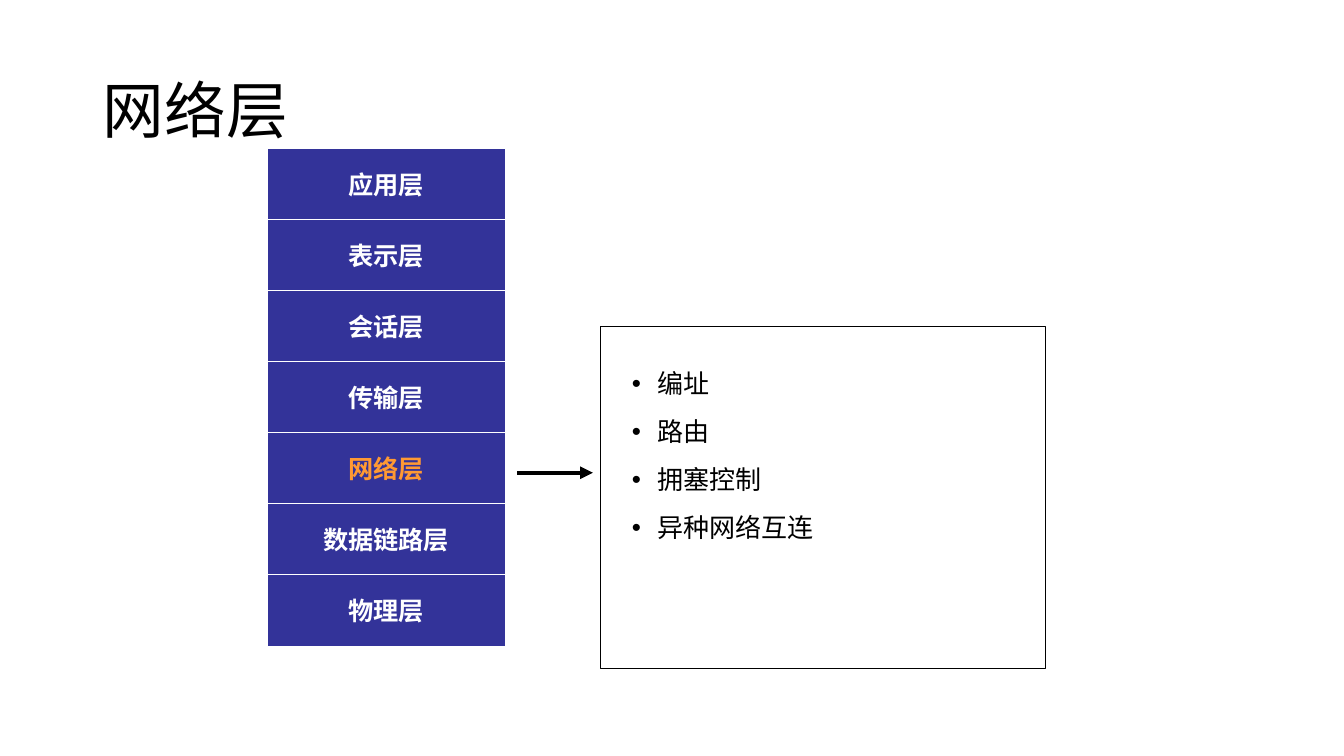
from lxml import etree
from pptx import Presentation
from pptx.dml.color import RGBColor
from pptx.enum.shapes import MSO_CONNECTOR, MSO_SHAPE
from pptx.enum.text import MSO_ANCHOR, PP_ALIGN
from pptx.oxml.ns import qn
from pptx.util import Inches, Pt

TITLE = "网络层"
LAYERS = ["应用层", "表示层", "会话层", "传输层", "网络层", "数据链路层", "物理层"]
TASKS = ["编址", "路由", "拥塞控制", "异种网络互连"]

FONT = "Noto Sans CJK SC"
BLACK = RGBColor(0x00, 0x00, 0x00)
WHITE = RGBColor(0xFF, 0xFF, 0xFF)
BLUE = RGBColor(0x33, 0x33, 0x99)
ORANGE = RGBColor(0xFF, 0x99, 0x33)
RECT = MSO_SHAPE.RECTANGLE
STRAIGHT = MSO_CONNECTOR.STRAIGHT
MIDDLE = MSO_ANCHOR.MIDDLE
LEFT, CENTER = PP_ALIGN.LEFT, PP_ALIGN.CENTER

STACK_X, STACK_Y, STACK_W = 2.65, 1.47, 2.36
BAR_H, PITCH = 0.71, 0.705


def box(*args):
    return [Inches(n) for n in args]


def style(para, size, color, bold=False):
    """Format the runs, with the same font for Latin and East Asian text."""
    for run in para.runs:
        font = run.font
        font.name, font.size, font.bold = FONT, Pt(size), bold
        font.color.rgb = color
        ea = etree.Element(qn("a:ea"), typeface=FONT)
        font._element.find(qn("a:latin")).addnext(ea)


def add_rect(slide, place, line):
    rect = slide.shapes.add_shape(RECT, *box(*place))
    rect.shadow.inherit = False
    rect.line.color.rgb = line
    rect.line.width = Pt(0.75)
    return rect


def add_title(slide):
    title = slide.shapes.title
    title.left, title.top, title.width, title.height = box(0.92, 0.4, 11.5, 1.45)
    frame = title.text_frame
    frame.text = TITLE
    frame.vertical_anchor = MIDDLE
    para = frame.paragraphs[0]
    para.alignment = LEFT
    para.line_spacing = 0.9
    style(para, 44, BLACK)


def add_stack(slide):
    for i, name in enumerate(LAYERS):
        bar = add_rect(slide, (STACK_X, STACK_Y + i * PITCH, STACK_W, BAR_H), WHITE)
        bar.fill.solid()
        bar.fill.fore_color.rgb = BLUE
        frame = bar.text_frame
        frame.text = name
        frame.word_wrap = False
        frame.vertical_anchor = MIDDLE
        para = frame.paragraphs[0]
        para.alignment = CENTER
        style(para, 18, ORANGE if name == TITLE else WHITE, True)


def add_arrow(slide):
    arrow = slide.shapes.add_connector(STRAIGHT, *box(5.13, 4.69, 5.88, 4.69))
    arrow.line.color.rgb = BLACK
    arrow.line.width = Pt(3)
    etree.SubElement(arrow.line._get_or_add_ln(), qn("a:tailEnd"), type="triangle")
    etree.SubElement(arrow._element.spPr, qn("a:effectLst"))


def add_tasks(slide):
    frame = slide.shapes.add_textbox(*box(6.17, 3.6, 3.7, 2.14)).text_frame
    frame.word_wrap = True
    frame.text = "\n".join(TASKS)
    for i, para in enumerate(frame.paragraphs):
        props = para._p.get_or_add_pPr()
        props.set("marL", str(Inches(0.25)))
        props.set("indent", str(-Inches(0.25)))
        etree.SubElement(props, qn("a:buFont"), typeface="Arial")
        etree.SubElement(props, qn("a:buChar"), char="•")
        para.space_before = Pt(12 if i else 0)
        style(para, 18.6, BLACK)
    add_rect(slide, (5.96, 3.24, 4.41, 3.39), BLACK).fill.background()


def main():
    deck = Presentation()
    deck.slide_width, deck.slide_height = box(13.33, 7.5)
    slide = deck.slides.add_slide(deck.slide_layouts[5])
    add_title(slide)
    add_stack(slide)
    add_arrow(slide)
    add_tasks(slide)
    deck.save("out.pptx")


if __name__ == "__main__":
    main()
